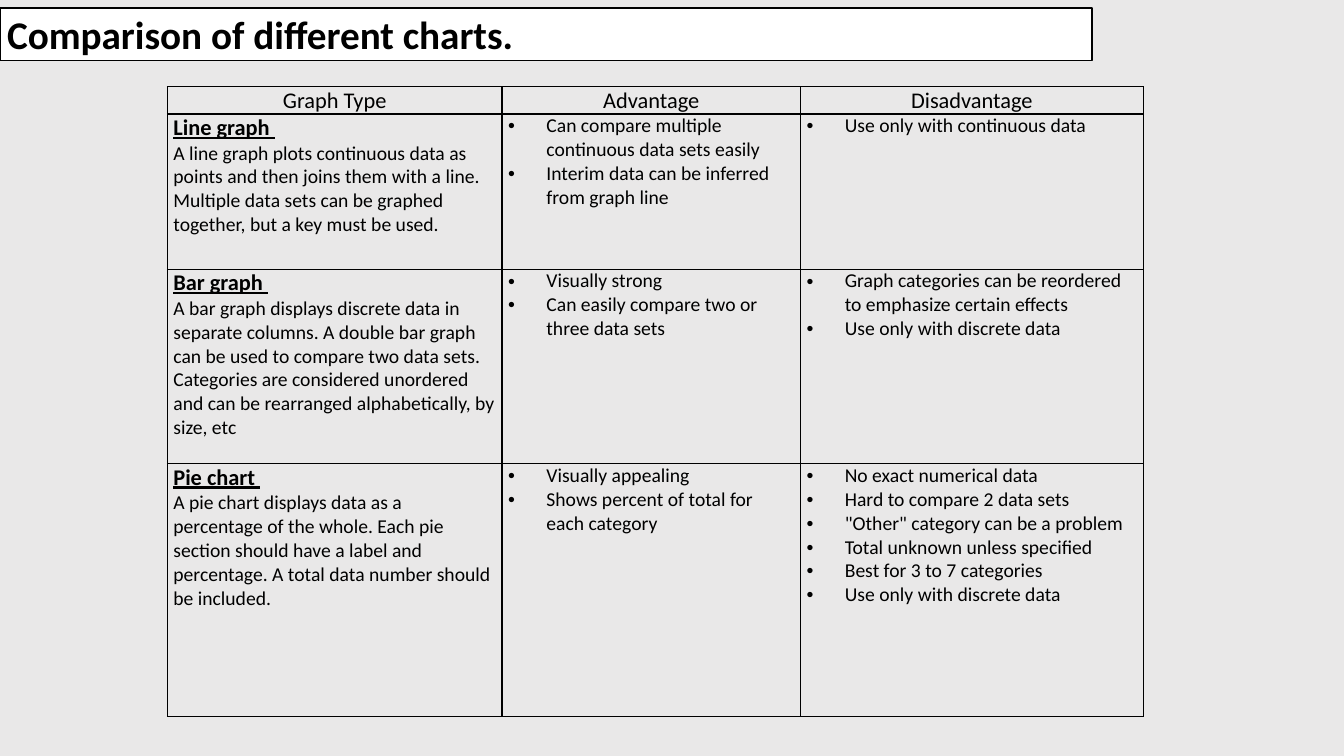
import dataclasses

import lxml.etree
import pptx
import pptx.dml.color
import pptx.enum.text
import pptx.oxml.ns
import pptx.slide
import pptx.table
import pptx.text.text
import pptx.util


@dataclasses.dataclass(frozen=True)
class Theme:
    font: str = "Calibri"
    ink: str = "000000"
    paper: str = "FFFFFF"
    background: str = "E9E8E8"
    title_size: int = 28
    heading_size: int = 16
    body_size: int = 14
    line_width: int = 1
    bullet_indent: float = 0.38


@dataclasses.dataclass(frozen=True)
class ChartComparison:
    name: str
    description: str
    advantages: tuple[str, ...]
    disadvantages: tuple[str, ...]
    row_height: float


THEME = Theme()
TITLE = "Comparison of different charts."
HEADERS = ("Graph Type", "Advantage", "Disadvantage")
HEADER_HEIGHT = 0.27
COLUMN_WIDTHS = (3.32, 2.96, 3.4)
COMPARISONS = (
    ChartComparison(
        "Line graph ",
        "A line graph plots continuous data as points and then joins them with a line. "
        "Multiple data sets can be graphed together, but a key must be used.",
        (
            "Can compare multiple continuous data sets easily",
            "Interim data can be inferred from graph line",
        ),
        ("Use only with continuous data",),
        1.54,
    ),
    ChartComparison(
        "Bar graph ",
        "A bar graph displays discrete data in separate columns. A double bar graph can be "
        "used to compare two data sets. Categories are considered unordered and can be "
        "rearranged alphabetically, by size, etc",
        ("Visually strong", "Can easily compare two or three data sets"),
        (
            "Graph categories can be reordered to emphasize certain effects",
            "Use only with discrete data",
        ),
        1.93,
    ),
    ChartComparison(
        "Pie chart ",
        "A pie chart displays data as a percentage of the whole. Each pie section should "
        "have a label and percentage. A total data number should be included.",
        ("Visually appealing", "Shows percent of total for each category"),
        (
            "No exact numerical data",
            "Hard to compare 2 data sets",
            '"Other" category can be a problem',
            "Total unknown unless specified",
            "Best for 3 to 7 categories",
            "Use only with discrete data",
        ),
        2.51,
    ),
)


def color(value: str) -> pptx.dml.color.RGBColor:
    return pptx.dml.color.RGBColor.from_string(value)


def add_run(
    paragraph: pptx.text.text._Paragraph,
    text: str,
    size: int,
    bold: bool = False,
    underline: bool = False,
) -> None:
    run = paragraph.add_run()
    run.text = text
    run.font.name = THEME.font
    run.font.size = pptx.util.Pt(size)
    run.font.bold = bold
    run.font.underline = underline
    run.font.color.rgb = color(THEME.ink)


def add_bullet(paragraph: pptx.text.text._Paragraph) -> None:
    properties = paragraph._p.get_or_add_pPr()
    indent = pptx.util.Inches(THEME.bullet_indent)
    properties.set("marL", str(indent))
    properties.set("indent", str(-indent))
    qn = pptx.oxml.ns.qn
    lxml.etree.SubElement(properties, qn("a:buFont"), typeface="Arial")
    lxml.etree.SubElement(properties, qn("a:buChar"), char="•")


def format_cell(cell: pptx.table._Cell) -> None:
    cell.margin_left = cell.margin_right = pptx.util.Inches(0.06)
    cell.margin_top = cell.margin_bottom = 0
    properties = cell._tc.get_or_add_tcPr()
    qn = pptx.oxml.ns.qn
    for side in ("lnL", "lnR", "lnT", "lnB"):
        border = lxml.etree.SubElement(
            properties, qn(f"a:{side}"), w=str(pptx.util.Pt(THEME.line_width))
        )
        fill = lxml.etree.SubElement(border, qn("a:solidFill"))
        lxml.etree.SubElement(fill, qn("a:srgbClr"), val=THEME.ink)
    cell.fill.background()


def fill_list(cell: pptx.table._Cell, items: tuple[str, ...]) -> None:
    for index, item in enumerate(items):
        paragraph = cell.text_frame.add_paragraph() if index else cell.text_frame.paragraphs[0]
        add_bullet(paragraph)
        add_run(paragraph, item, THEME.body_size)


def format_title(slide: pptx.slide.Slide) -> None:
    title = slide.shapes.title
    title.left, title.top = pptx.util.Inches(0), pptx.util.Inches(0.08)
    title.width, title.height = pptx.util.Inches(10.83), pptx.util.Inches(0.52)
    title.fill.solid()
    title.fill.fore_color.rgb = color(THEME.paper)
    title.line.color.rgb = color(THEME.ink)
    title.line.width = pptx.util.Pt(THEME.line_width)
    frame = title.text_frame
    frame.auto_size = pptx.enum.text.MSO_AUTO_SIZE.NONE
    frame.word_wrap = True
    frame.vertical_anchor = pptx.enum.text.MSO_ANCHOR.MIDDLE
    frame.margin_left = frame.margin_right = pptx.util.Inches(0.07)
    frame.margin_top = frame.margin_bottom = pptx.util.Inches(0.03)
    paragraph = frame.paragraphs[0]
    paragraph.alignment = pptx.enum.text.PP_ALIGN.LEFT
    add_run(paragraph, TITLE, THEME.title_size, bold=True)


def add_comparison_table(slide: pptx.slide.Slide) -> None:
    heights = (HEADER_HEIGHT, *(comparison.row_height for comparison in COMPARISONS))
    table = slide.shapes.add_table(
        len(heights),
        len(COLUMN_WIDTHS),
        pptx.util.Inches(1.66),
        pptx.util.Inches(0.86),
        pptx.util.Inches(sum(COLUMN_WIDTHS)),
        pptx.util.Inches(sum(heights)),
    ).table
    table.first_row = False
    table.horz_banding = False
    for column, width in zip(table.columns, COLUMN_WIDTHS):
        column.width = pptx.util.Inches(width)
    for row, height in zip(table.rows, heights):
        row.height = pptx.util.Inches(height)
    for cell in table.iter_cells():
        format_cell(cell)

    for cell, header in zip(table.rows[0].cells, HEADERS):
        paragraph = cell.text_frame.paragraphs[0]
        paragraph.alignment = pptx.enum.text.PP_ALIGN.CENTER
        add_run(paragraph, header, THEME.heading_size)

    for row_index, comparison in enumerate(COMPARISONS, start=1):
        graph_type, advantage, disadvantage = table.rows[row_index].cells
        frame = graph_type.text_frame
        add_run(frame.paragraphs[0], comparison.name, THEME.heading_size, True, True)
        add_run(frame.add_paragraph(), comparison.description, THEME.body_size)
        fill_list(advantage, comparison.advantages)
        fill_list(disadvantage, comparison.disadvantages)


def main() -> None:
    presentation = pptx.Presentation()
    presentation.slide_width = pptx.util.Inches(13.33)
    presentation.slide_height = pptx.util.Inches(7.5)
    slide = presentation.slides.add_slide(presentation.slide_layouts.get_by_name("Title Only"))
    slide.background.fill.solid()
    slide.background.fill.fore_color.rgb = color(THEME.background)
    format_title(slide)
    add_comparison_table(slide)
    presentation.save("out.pptx")


if __name__ == "__main__":
    main()
